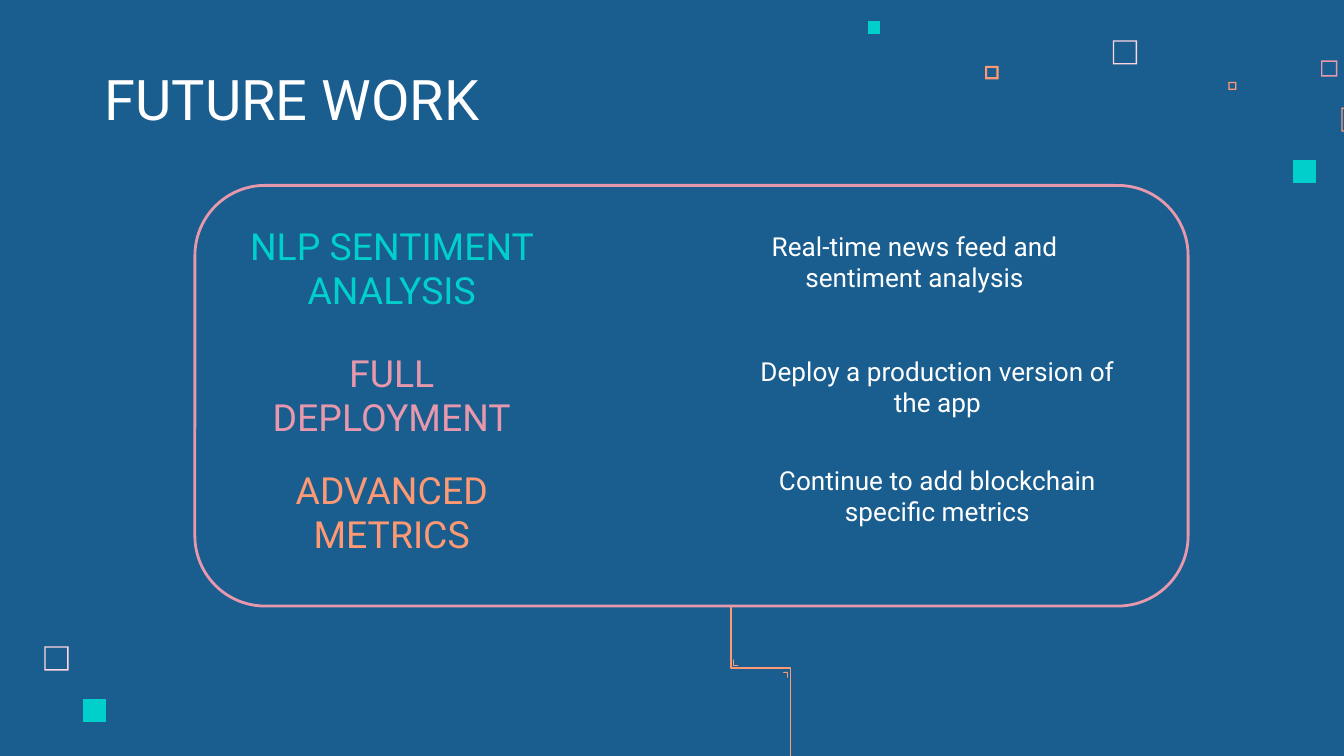
from collections import namedtuple

from pptx import Presentation
from pptx.dml.color import RGBColor
from pptx.enum.shapes import MSO_SHAPE
from pptx.enum.text import MSO_ANCHOR, PP_ALIGN
from pptx.oxml.ns import qn
from pptx.util import Inches, Pt

ROUNDED = MSO_SHAPE.ROUNDED_RECTANGLE
BOTTOM, MIDDLE = MSO_ANCHOR.BOTTOM, MSO_ANCHOR.MIDDLE
LEFT, CENTER = PP_ALIGN.LEFT, PP_ALIGN.CENTER

FONT = "Roboto"
BLUE, WHITE = "1A5E8F", "FFFFFF"
TEAL, PINK, ORANGE, BLUSH = "00CFCC", "E898AC", "FF9973", "FFD6E1"
NO_GRID_STYLE = "{2D5ABB26-0587-4C30-8999-92F81FD0307C}"
MARGIN = Inches(0.1)

Box = namedtuple("Box", "left top width height")
SLIDE = Box(0, 0, 10, 5.625)


def color(hex_value):
    return RGBColor.from_string(hex_value)


def inches(box):
    return [Inches(length) for length in box]


def set_margins(target):
    target.margin_left = target.margin_right = MARGIN
    target.margin_top = target.margin_bottom = MARGIN


def write(text_frame, text, size, hex_value, align):
    paragraph = text_frame.paragraphs[0]
    paragraph.alignment = align
    run = paragraph.add_run()
    run.text = text
    run.font.name = FONT
    run.font.size = Pt(size)
    run.font.color.rgb = color(hex_value)


def add_text(slide, box, text, size, align):
    text_frame = slide.shapes.add_textbox(*inches(box)).text_frame
    text_frame.word_wrap = True
    text_frame.vertical_anchor = BOTTOM
    set_margins(text_frame)
    write(text_frame, text, size, WHITE, align)


def add_outline(shapes, contours, hex_value, line_width=None):
    """Draw one filled shape from closed contours given in inches."""
    contours = [[(Inches(x), Inches(y)) for x, y in points] for points in contours]
    builder = shapes.build_freeform(*contours[0][0])
    for index, points in enumerate(contours):
        if index:
            builder.move_to(*points[0])
        builder.add_line_segments(points[1:], close=True)
    shape = builder.convert_to_shape()
    shape.shadow.inherit = False
    shape.fill.solid()
    shape.fill.fore_color.rgb = color(hex_value)
    if line_width:
        shape.line.color.rgb = color(hex_value)
        shape.line.width = Pt(line_width)
    else:
        shape.line.fill.background()


def square(left, top, size):
    right, bottom = left + size, top + size
    return [(left, top), (left, bottom), (right, bottom), (right, top)]


def add_confetti(slide, box, squares):
    """Scatter squares: offset in the box, size, border (0 is solid), colour."""
    for x, y, size, border, hex_value in squares:
        left, top = box.left + x, box.top + y
        contours = [square(left, top, size)]
        if border:
            hole = square(left + border, top + border, size - 2 * border)
            contours.append(hole[::-1])
        add_outline(slide.shapes, contours, hex_value)


def add_panel(slide, box):
    panel = slide.shapes.add_shape(ROUNDED, *inches(box))
    panel.adjustments[0] = 0.167
    panel.shadow.inherit = False
    panel.fill.background()
    panel.line.color.rgb = color(PINK)
    panel.line.width = Pt(1.5)


def add_topics(slide, box, topics):
    """Table with the topics in its first column, under an empty row."""
    row_heights = [0.48, 1.02, 0.74, 0.74]
    first_width = 2.53
    column_count = 5
    frame = slide.shapes.add_table(len(row_heights), column_count, *inches(box))
    table = frame.table
    table.first_row = table.horz_banding = False
    frame._element.find(".//" + qn("a:tableStyleId")).text = NO_GRID_STYLE
    other_width = (box.width - first_width) / (column_count - 1)
    for index, column in enumerate(table.columns):
        column.width = Inches(other_width if index else first_width)
    for index, height in enumerate(row_heights):
        table.rows[index].height = Inches(height)
        for cell in table.rows[index].cells:
            cell.fill.background()
        table.cell(index, 3).merge(table.cell(index, 4))
    for index, (text, hex_value) in enumerate(topics, start=1):
        cell = table.cell(index, 0)
        cell.vertical_anchor = MIDDLE
        set_margins(cell)
        write(cell.text_frame, text, 20, hex_value, CENTER)


def add_details(slide, box, details):
    """Texts of equal size, each shifted from the corner of the box."""
    for shift_x, shift_y, text in details:
        place = Box(box.left + shift_x, box.top + shift_y, box.width, box.height)
        add_text(slide, place, text, 14, CENTER)


def add_stem(slide, box):
    """Stepped line below the panel with a small mark in each corner."""
    right, bottom = box.left + box.width, box.top + box.height
    bend = box.top + 0.45
    step = [(box.left, box.top), (box.left, bend), (right, bend), (right, bottom)]
    upper = [(right - 0.05, bend + 0.03), (right - 0.02, bend + 0.03),
             (right - 0.02, bend + 0.07)]
    lower = [(box.left + 0.02, bend - 0.06), (box.left + 0.02, bend - 0.02),
             (box.left + 0.05, bend - 0.02)]
    group = slide.shapes.add_group_shape()
    add_outline(group.shapes, [step + step[-2:0:-1]], ORANGE, 0.75)
    for mark in (upper, lower):
        add_outline(group.shapes, [mark + mark[1:2]], ORANGE, 0.4)


def build_future_work(slide, box):
    # Corner decorations
    add_confetti(slide, Box(box.left + 6.46, box.top + 0.16, 3.54, 1.2), [
        (1.82, 0.14, 0.18, 0.01, BLUSH),
        (3.37, 0.29, 0.12, 0.01, PINK),
        (2.68, 0.45, 0.06, 0.01, ORANGE),
        (3.52, 0.64, 0.18, 0.01, ORANGE),
        (3.16, 1.03, 0.17, 0, TEAL),
        (0.87, 0.33, 0.1, 0.015, ORANGE),
        (0, 0, 0.09, 0, TEAL),
    ])
    add_confetti(slide, Box(box.left + 0.33, box.top + 4.81, 0.46, 0.56), [
        (0, 0, 0.18, 0.01, BLUSH),
        (0.29, 0.39, 0.17, 0, TEAL),
    ])
    # Panel and title
    add_panel(slide, Box(box.left + 1.45, box.top + 1.38, 7.39, 3.13))
    title_box = Box(box.left + 0.68, box.top + 0.45, 5.17, 0.63)
    add_text(slide, title_box, "FUTURE WORK", 30, LEFT)
    # Topics and the stem
    add_topics(slide, Box(box.left + 1.65, box.top + 1.02, 9.65, 2.98), [
        ("NLP SENTIMENT ANALYSIS", TEAL),
        ("FULL DEPLOYMENT", PINK),
        ("ADVANCED METRICS", ORANGE),
    ])
    add_stem(slide, Box(box.left + 5.44, box.top + 4.52, 0.44, 1.41))
    # Details
    add_details(slide, Box(box.left + 5.32, box.top + 1.57, 2.97, 0.71), [
        (0, 0, "Real-time news feed and sentiment analysis"),
        (0.17, 0.93, "Deploy a production version of the app"),
        (0.17, 1.74, "Continue to add blockchain specific metrics"),
    ])


presentation = Presentation()
presentation.slide_width = Inches(SLIDE.width)
presentation.slide_height = Inches(SLIDE.height)
future_work = presentation.slides.add_slide(presentation.slide_layouts[6])
future_work.background.fill.solid()
future_work.background.fill.fore_color.rgb = color(BLUE)
build_future_work(future_work, SLIDE)
presentation.save("out.pptx")
